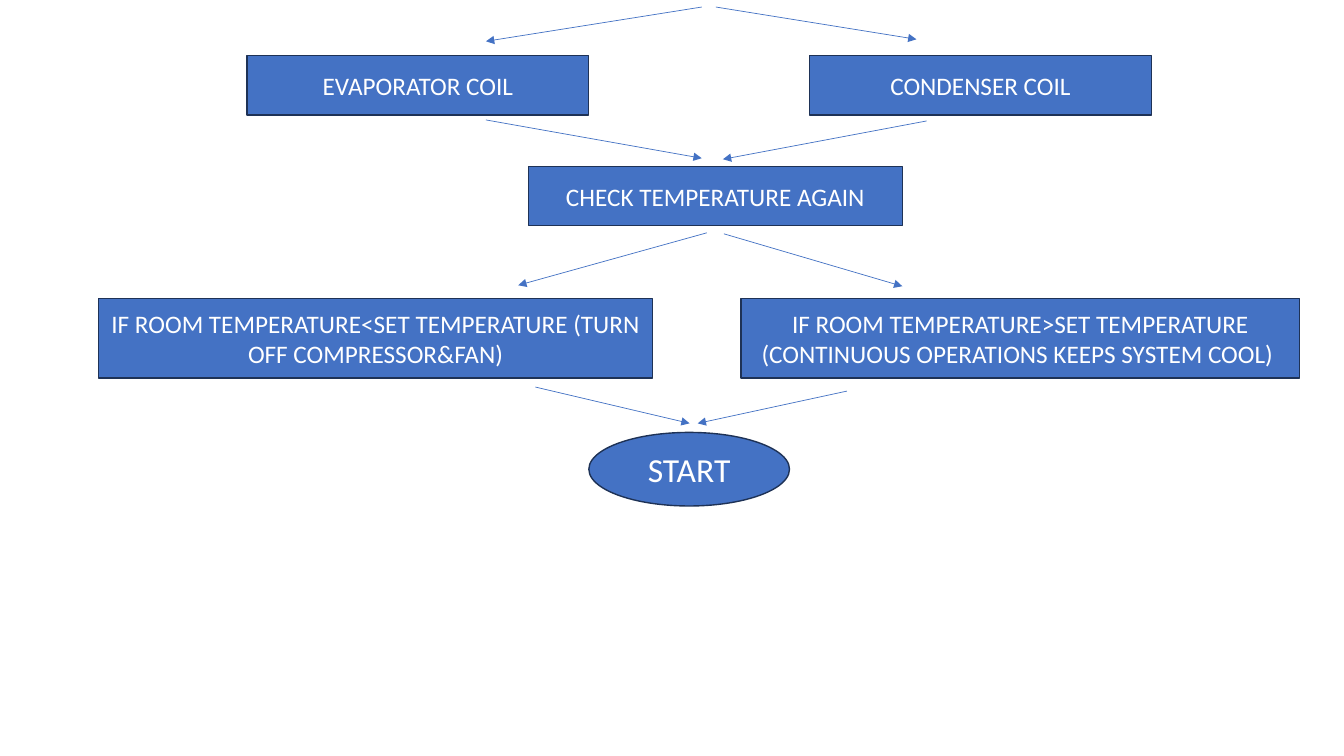
import pptx
import pptx.dml.color
import pptx.enum.shapes
import pptx.enum.text
import pptx.oxml
import pptx.oxml.ns
import pptx.util
from pptx.util import Inches

COLOURS = {"fill": "4472C4", "outline": "1E3256", "arrow": "4472C4", "text": "FFFFFF"}
SHAPES = pptx.enum.shapes.MSO_SHAPE


def colour(name):
    return pptx.dml.color.RGBColor.from_string(COLOURS[name])


class Flowchart:
    """Holds the style and the slide the flowchart is drawn on."""

    font_name = "Calibri"
    outline_width = pptx.util.Pt(1)
    arrow_width = pptx.util.Pt(0.5)

    def __init__(self, slide):
        self.slide = slide

    def node(self, text, left, top, width, height, kind=SHAPES.RECTANGLE, size=18):
        shape = self.slide.shapes.add_shape(
            kind, Inches(left), Inches(top), Inches(width), Inches(height))
        shape.shadow.inherit = False
        shape.fill.solid()
        shape.fill.fore_color.rgb = colour("fill")
        shape.line.color.rgb = colour("outline")
        shape.line.width = self.outline_width
        frame = shape.text_frame
        frame.word_wrap = True
        frame.vertical_anchor = pptx.enum.text.MSO_ANCHOR.MIDDLE
        paragraph = frame.paragraphs[0]
        paragraph.text = text
        paragraph.alignment = pptx.enum.text.PP_ALIGN.CENTER
        paragraph.font.name = self.font_name
        paragraph.font.size = pptx.util.Pt(size)
        paragraph.font.color.rgb = colour("text")

    def arrow(self, start, end):
        connector = self.slide.shapes.add_connector(
            pptx.enum.shapes.MSO_CONNECTOR.STRAIGHT,
            *(Inches(value) for value in (*start, *end)))
        connector.line.color.rgb = colour("arrow")
        connector.line.width = self.arrow_width
        # Arrowhead at the end, and no shadow
        properties = connector._element.spPr
        line = properties.find(pptx.oxml.ns.qn("a:ln"))
        namespace = pptx.oxml.ns.nsdecls("a")
        line.append(pptx.oxml.parse_xml(f'<a:tailEnd {namespace} type="triangle"/>'))
        properties.append(pptx.oxml.parse_xml(f"<a:effectLst {namespace}/>"))


def main():
    presentation = pptx.Presentation()
    presentation.slide_width = Inches(13.33)
    presentation.slide_height = Inches(7.5)
    slide = presentation.slides.add_slide(presentation.slide_layouts[6])
    chart = Flowchart(slide)

    # Coils
    for text, left in (("EVAPORATOR COIL", 2.45), ("CONDENSER COIL", 8.03)):
        chart.node(text, left, 0.55, 3.39, 0.59)

    # Temperature check and its two outcomes
    chart.node("CHECK TEMPERATURE AGAIN", 5.24, 1.65, 3.71, 0.59)
    outcomes = (
        ("IF ROOM TEMPERATURE<SET TEMPERATURE (TURN OFF COMPRESSOR&FAN)", 0.98, 5.49),
        ("IF ROOM TEMPERATURE>SET TEMPERATURE "
         "(CONTINUOUS OPERATIONS KEEPS SYSTEM COOL) ", 7.35, 5.54),
    )
    for text, left, width in outcomes:
        chart.node(text, left, 2.96, width, 0.79)

    # Back to the start
    chart.node("START", 5.84, 4.29, 1.99, 0.73, SHAPES.OVAL, 24)

    # Arrows, a left and a right one between each pair of rows
    arrows = (
        ((6.96, 0.07), (4.82, 0.41)), ((7.1, 0.07), (9.09, 0.39)),
        ((4.82, 1.19), (6.96, 1.57)), ((9.19, 1.2), (7.17, 1.58)),
        ((7.01, 2.31), (5.14, 2.83)), ((7.18, 2.32), (8.95, 2.84)),
        ((5.31, 3.84), (6.84, 4.2)), ((8.4, 3.88), (6.92, 4.2)),
    )
    for start, end in arrows:
        chart.arrow(start, end)

    presentation.save("out.pptx")


if __name__ == "__main__":
    main()
